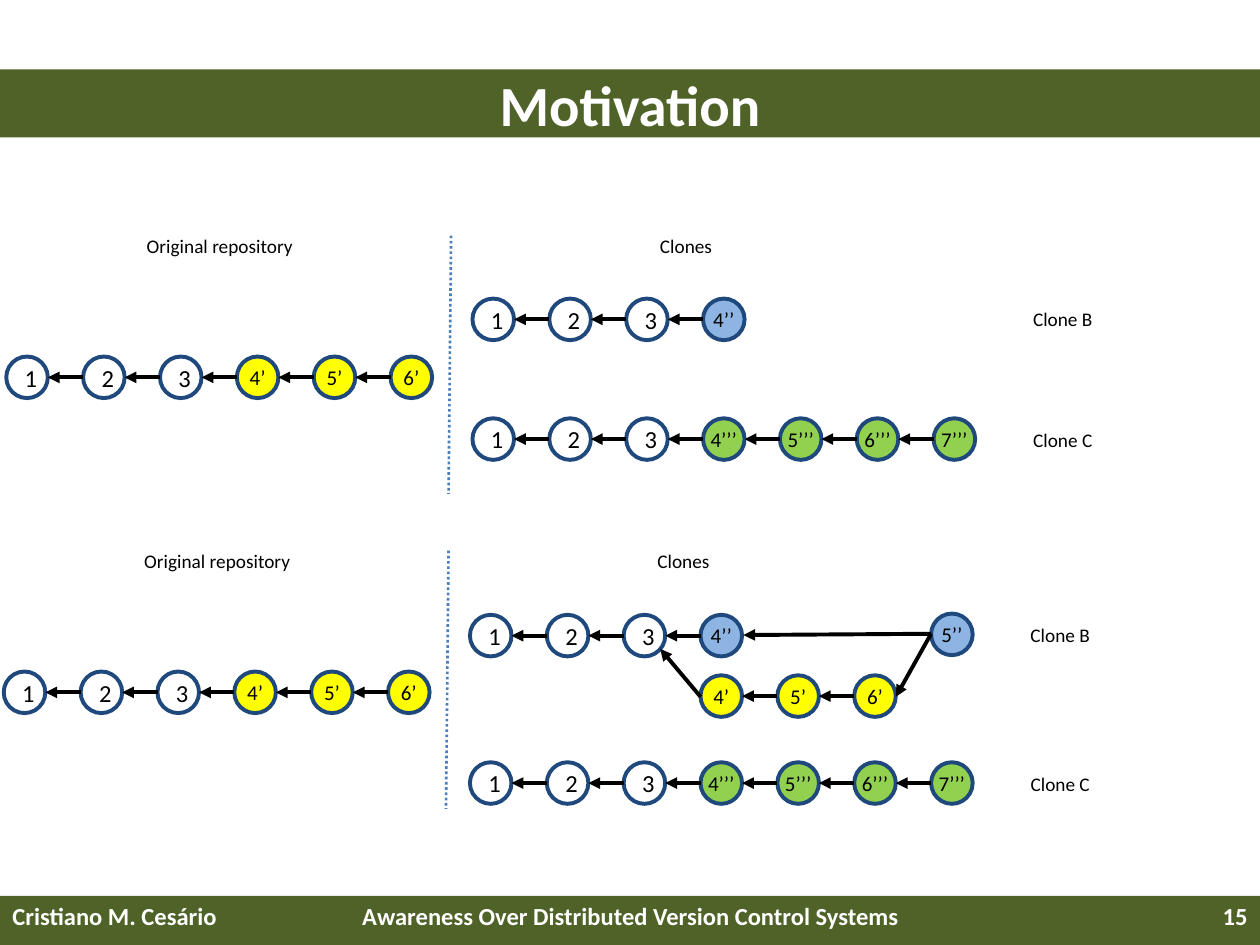
import pptx
import pptx.util
import pptx.dml.color
import pptx.enum.dml
import pptx.enum.shapes
import pptx.enum.text
import pptx.oxml
import lxml.etree

Inches = pptx.util.Inches
Pt = pptx.util.Pt
RGBColor = pptx.dml.color.RGBColor
ALIGN = pptx.enum.text.PP_ALIGN
ANCHOR = pptx.enum.text.MSO_ANCHOR
SHAPE = pptx.enum.shapes.MSO_SHAPE

OLIVE = RGBColor(0x4F, 0x62, 0x28)
WHITE = RGBColor(0xFF, 0xFF, 0xFF)
BLACK = RGBColor(0, 0, 0)
NAVY = RGBColor(0x1F, 0x49, 0x7D)
DIVIDER_BLUE = RGBColor(0x4B, 0x7E, 0xBC)
YELLOW = RGBColor(0xFF, 0xFF, 0)
BLUE = RGBColor(0x8E, 0xB4, 0xE3)
GREEN = RGBColor(0x92, 0xD0, 0x50)
COMMIT_FILLS = {1: YELLOW, 2: BLUE, 3: GREEN}

DIAMETER = 0.33
PITCH = 0.61


def write(box, text, size=11, color=BLACK, bold=False, align=ALIGN.CENTER,
          anchor=ANCHOR.MIDDLE, side_inset=0.1):
    frame = box.text_frame
    frame.word_wrap = True
    frame.auto_size = pptx.enum.text.MSO_AUTO_SIZE.NONE
    frame.vertical_anchor = anchor
    frame.margin_left = frame.margin_right = Inches(side_inset)
    frame.margin_top = frame.margin_bottom = Inches(0.05)
    para = frame.paragraphs[0]
    para.alignment = align
    span = para.add_run()
    span.text = text
    span.font.name = "Calibri"
    span.font.size = Pt(size)
    span.font.bold = bold
    span.font.color.rgb = color


def draw_line(start, end, color=BLACK, width=2.25, arrow=True):
    line = page.shapes.add_connector(
        pptx.enum.shapes.MSO_CONNECTOR.STRAIGHT,
        *[Inches(value) for value in (*start, *end)])
    line.line.color.rgb = color
    line.line.width = Pt(width)
    if arrow:
        outline = line.line._get_or_add_ln()
        lxml.etree.SubElement(outline, pptx.oxml.ns.qn("a:tailEnd"), type="triangle")
    else:
        line.line.dash_style = pptx.enum.dml.MSO_LINE.ROUND_DOT
    lxml.etree.SubElement(line._element.spPr, pptx.oxml.ns.qn("a:effectLst"))


deck = pptx.Presentation()
deck.slide_width = Inches(10)
deck.slide_height = Inches(7.5)
page = deck.slides.add_slide(deck.slide_layouts[5])

title = page.shapes.title
title.left, title.top = Inches(0), Inches(0.55)
title.width, title.height = Inches(10), Inches(0.54)
title.fill.solid()
title.fill.fore_color.rgb = OLIVE
write(title, "Motivation", size=32.4, color=WHITE, bold=True)

footer_bar = page.shapes.add_shape(
    SHAPE.RECTANGLE, Inches(0), Inches(7.11), Inches(10), Inches(0.39))
footer_bar.shadow.inherit = False
footer_bar.fill.solid()
footer_bar.fill.fore_color.rgb = OLIVE
footer_bar.line.fill.background()

for left, width, text, align in [
    (0, 2.33, "Cristiano M. Cesário", ALIGN.LEFT),
    (2.42, 5.17, "Awareness Over Distributed Version Control Systems", ALIGN.CENTER),
    (7.67, 2.33, "15", ALIGN.RIGHT),
]:
    box = page.shapes.add_textbox(Inches(left), Inches(7.1), Inches(width), Inches(0.4))
    write(box, text, size=14, color=WHITE, bold=True, align=align, anchor=ANCHOR.TOP)

chains = []
for shift, top, clone_b_top, clone_c_top in [(0, 1.87, 2.37, 3.32), (-0.02, 4.37, 4.88, 6.05)]:
    draw_line((3.58 + shift, top), (3.56 + shift, top + 2.05),
              color=DIVIDER_BLUE, width=1.5, arrow=False)
    for left, label_top, width, text in [
        (1.03, top - 0.12, 1.43, "Original repository"),
        (4.73, top - 0.12, 1.43, "Clones"),
        (8.02, clone_b_top - 0.04, 0.83, "Clone B"),
        (8.02, clone_c_top - 0.03, 0.83, "Clone C"),
    ]:
        box = page.shapes.add_textbox(
            Inches(left + shift), Inches(label_top), Inches(width), Inches(0.4))
        write(box, text)
    chains += [
        (0.05 + shift, top + 0.96, ["1", "2", "3", "4’", "5’", "6’"]),
        (3.75 + shift, clone_b_top, ["1", "2", "3", "4’’"]),
        (3.75 + shift, clone_c_top, ["1", "2", "3", "4’’’", "5’’’", "6’’’", "7’’’"]),
    ]
chains += [(5.56, 5.36, ["4’", "5’", "6’"]), (7.39, 4.87, ["5’’"])]

for chain_left, top, commits in chains:
    for index, label in enumerate(commits):
        left = chain_left + index * PITCH
        commit = page.shapes.add_shape(
            SHAPE.OVAL, Inches(left), Inches(top), Inches(DIAMETER), Inches(DIAMETER))
        commit.shadow.inherit = False
        commit.line.color.rgb = NAVY
        commit.line.width = Pt(2.25)
        primes = label.count("’")
        if primes:
            commit.fill.solid()
            commit.fill.fore_color.rgb = COMMIT_FILLS[primes]
            write(commit, label, size=12, side_inset=0)
        else:
            commit.fill.background()
            write(commit, label, size=14)
        if index:
            middle = top + DIAMETER / 2
            draw_line((left, middle), (left - PITCH + DIAMETER, middle))

draw_line((5.56, 5.53), (5.24, 5.15))
draw_line((7.39, 5.03), (5.9, 5.04))
draw_line((7.39, 5.03), (7.11, 5.53))

deck.save("out.pptx")
